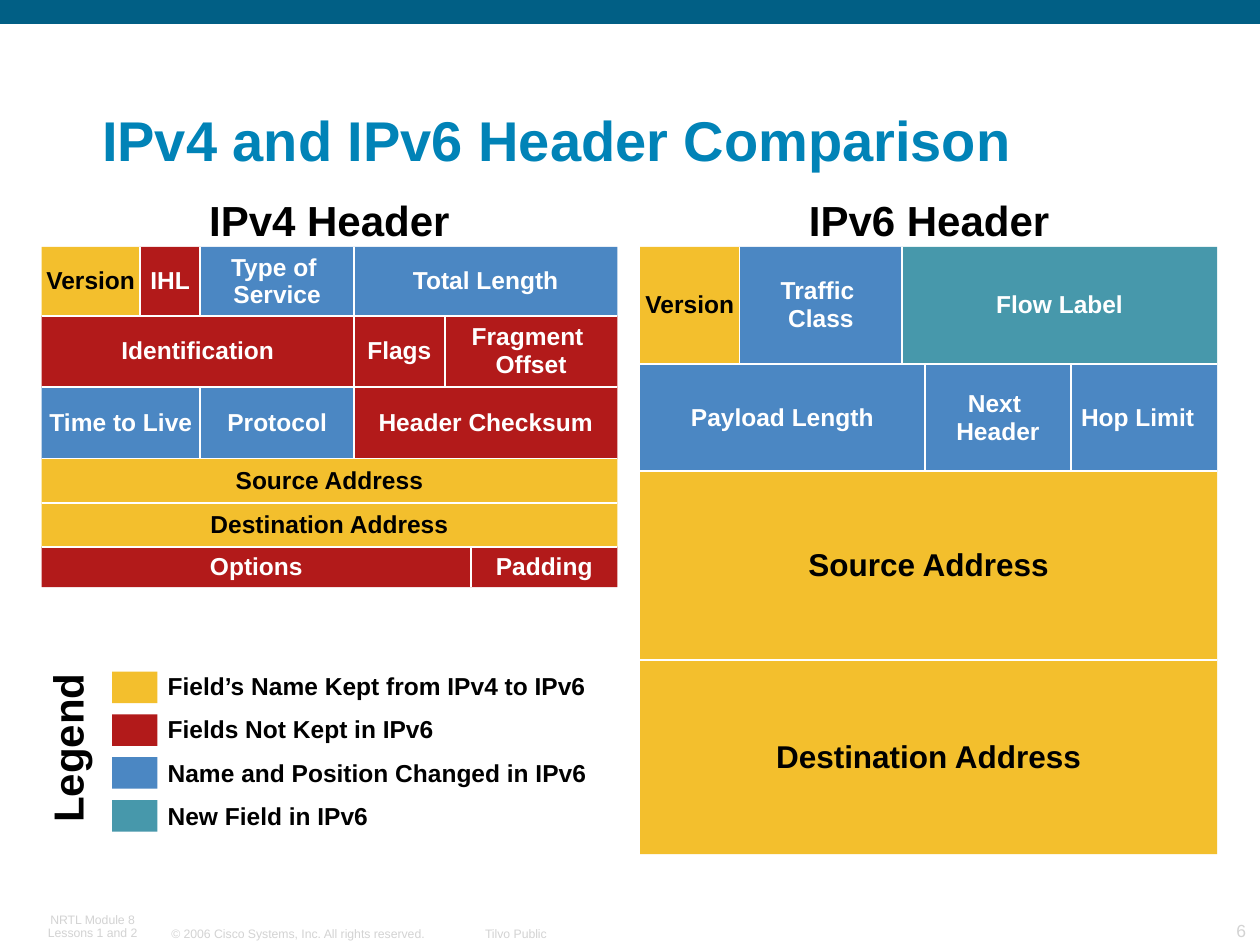
from copy import deepcopy
from dataclasses import dataclass
from typing import Any, NamedTuple

import lxml.etree
import pptx
import pptx.dml.color
import pptx.enum.shapes
import pptx.enum.text
import pptx.oxml.ns
import pptx.util

PX = pptx.util.Inches(1) // 100
ALIGN = pptx.enum.text.PP_ALIGN
ANCHOR = pptx.enum.text.MSO_ANCHOR
FIT = pptx.enum.text.MSO_AUTO_SIZE
qn = pptx.oxml.ns.qn


@dataclass(frozen=True)
class Theme:
    font: str = "Arial"
    bar: str = "015F85"
    title: str = "0183B7"
    black: str = "000000"
    white: str = "FFFFFF"
    footer: str = "D3D3D3"
    yellow: str = "F3BF2D"
    red: str = "B21A1A"
    blue: str = "4B87C3"
    teal: str = "4798AB"
    title_size: int = 32
    heading_size: int = 24
    address_size: int = 18
    field_size: int = 14
    number_size: int = 10
    footer_size: int = 7


THEME = Theme()


class Box(NamedTuple):
    left: int
    top: int
    width: int
    height: int


class Style(NamedTuple):
    size: int
    color: str = THEME.black
    bold: bool = True
    align: Any = ALIGN.LEFT
    anchor: Any = ANCHOR.TOP
    spacing: float = 1.0
    gap: float = 0
    wrap: bool = False
    fit: Any = FIT.SHAPE_TO_FIT_TEXT
    inset: int = 9


class Kind(NamedTuple):
    label: str
    fill: str
    ink: str = THEME.white


class Field(NamedTuple):
    text: str
    width: int
    kind: Kind
    align: Any = ALIGN.CENTER


class Row(NamedTuple):
    height: int
    fields: list[Field]
    size: int = THEME.field_size


class Header(NamedTuple):
    title: str
    title_left: int
    left: int
    rows: list[Row]


class Label(NamedTuple):
    lines: list[str]
    box: Box
    style: Style


KEPT = Kind("Field’s Name Kept from IPv4 to IPv6", THEME.yellow, THEME.black)
DROPPED = Kind("Fields Not Kept in IPv6", THEME.red)
MOVED = Kind("Name and Position Changed in IPv6", THEME.blue)
NEW = Kind("New Field in IPv6", THEME.teal)
KINDS = [KEPT, DROPPED, MOVED, NEW]

HEADER_TOP = 196
HEADERS = [
    Header("IPv4 Header", 158, 33, [
        Row(55, [Field("Version", 78, KEPT), Field("IHL", 48, DROPPED),
                 Field("Type of \vService", 122, MOVED), Field("Total Length", 209, MOVED)]),
        Row(56, [Field("Identification", 248, DROPPED), Field("Flags", 72, DROPPED),
                 Field("Fragment \vOffset", 137, DROPPED)]),
        Row(57, [Field("Time to Live", 126, MOVED), Field("Protocol", 122, MOVED),
                 Field("Header Checksum", 209, DROPPED)]),
        Row(35, [Field("Source Address", 457, KEPT)]),
        Row(35, [Field("Destination Address", 457, KEPT)]),
        Row(32, [Field("Options", 341, DROPPED), Field("Padding", 116, DROPPED)]),
    ]),
    Header("IPv6 Header", 634, 508, [
        Row(93, [Field("Version", 79, KEPT), Field("Traffic \vClass", 129, MOVED),
                 Field("Flow Label", 250, NEW)]),
        Row(85, [Field("Payload Length", 226, MOVED), Field("Next \vHeader", 116, MOVED),
                 Field("Hop Limit", 116, MOVED, ALIGN.LEFT)]),
        Row(150, [Field("Source Address", 458, KEPT)], THEME.address_size),
        Row(154, [Field("Destination Address", 458, KEPT)], THEME.address_size),
    ]),
]

HEADING = Style(THEME.heading_size, inset=8)
FOOTER = Style(THEME.footer_size, THEME.footer, bold=False, anchor=ANCHOR.BOTTOM)
FOOTERS = [
    Label(["© 2006 Cisco Systems, Inc. All rights reserved."], Box(127, 730, 220, 21), FOOTER),
    Label(["Tilvo Public"], Box(372, 730, 71, 21), FOOTER._replace(align=ALIGN.RIGHT)),
    Label(["NRTL Module 8", "Lessons 1 and 2"], Box(21, 720, 105, 30),
          FOOTER._replace(align=ALIGN.CENTER, spacing=0.9, wrap=True)),
    Label(["6"], Box(917, 725, 81, 26),
          FOOTER._replace(size=THEME.number_size, align=ALIGN.RIGHT)),
]


def rgb(color: str) -> Any:
    return pptx.dml.color.RGBColor.from_string(color)


def assign(target: Any, values: dict[str, Any]) -> None:
    for name, value in values.items():
        setattr(target, name, value)


def scaled(numbers: tuple[int, ...]) -> list[int]:
    return [number * PX for number in numbers]


def write(shape: Any, lines: list[str], style: Style) -> None:
    frame = shape.text_frame
    side, edge = style.inset * PX, 4 * PX
    assign(frame, {"word_wrap": style.wrap, "auto_size": style.fit,
                   "vertical_anchor": style.anchor, "margin_left": side,
                   "margin_right": side, "margin_top": edge, "margin_bottom": edge})
    for index, line in enumerate(lines):
        para = frame.add_paragraph() if index else frame.paragraphs[0]
        para.text = line
        assign(para, {"alignment": style.align, "line_spacing": style.spacing,
                      "space_before": pptx.util.Pt(style.gap if index else 0)})
        for span in para.runs:
            assign(span.font, {"name": THEME.font, "size": pptx.util.Pt(style.size),
                               "bold": style.bold})
            span.font.color.rgb = rgb(style.color)
        # Line breaks take the same format, so they do not stretch the line.
        for line_break in para._p.findall(qn("a:br")):
            line_break.insert(0, deepcopy(para.runs[0]._r.rPr))


def add_label(page: Any, label: Label) -> Any:
    shape = page.shapes.add_textbox(*scaled(label.box))
    write(shape, label.lines, label.style)
    return shape


def add_block(shapes: Any, box: Box, fill: str) -> Any:
    block = shapes.add_shape(pptx.enum.shapes.MSO_SHAPE.RECTANGLE, *scaled(box))
    block.shadow.inherit = False
    block.fill.solid()
    block.fill.fore_color.rgb = rgb(fill)
    block.line.fill.background()
    return block


def add_rule(shapes: Any, ends: tuple[int, int, int, int]) -> None:
    rule = shapes.add_connector(pptx.enum.shapes.MSO_CONNECTOR.STRAIGHT, *scaled(ends))
    rule.line.color.rgb = rgb(THEME.white)
    rule.line.width = pptx.util.Pt(1)
    lxml.etree.SubElement(rule._element.spPr, qn("a:effectLst"))


def add_header(page: Any, header: Header) -> None:
    """Draw the fields row by row, then white rules on the edges they share."""
    shapes = page.shapes.add_group_shape().shapes
    rules = []
    top = HEADER_TOP
    for row in header.rows:
        left, bottom = header.left, top + row.height
        for field in row.fields:
            block = add_block(shapes, Box(left, top, field.width, row.height), field.kind.fill)
            write(block, [field.text], Style(row.size, field.kind.ink, align=field.align,
                                             anchor=ANCHOR.MIDDLE, spacing=0.95,
                                             fit=FIT.NONE, inset=8))
            if left > header.left:
                rules.append((left, top, left, bottom))
            left += field.width
        if top > HEADER_TOP:
            rules.append((header.left, top, left, top))
        top = bottom
    for ends in rules:
        add_rule(shapes, ends)
    add_label(page, Label([header.title], Box(header.title_left, 150, 207, 48), HEADING))


def add_legend(page: Any) -> None:
    add_label(page, Label([kind.label for kind in KINDS], Box(124, 530, 375, 134),
                          Style(THEME.field_size, anchor=ANCHOR.MIDDLE, spacing=0.95,
                                gap=8.8, wrap=True)))
    caption = add_label(page, Label(["Legend"], Box(-13, 570, 137, 47),
                                    Style(THEME.heading_size, spacing=0.95, wrap=True)))
    caption.rotation = 270
    for index, kind in enumerate(KINDS):
        add_block(page.shapes, Box(89, 533 + 34 * index, 36, 25), kind.fill)


def main() -> None:
    deck = pptx.Presentation()
    assign(deck, {"slide_width": 1000 * PX, "slide_height": 750 * PX})
    page = deck.slides.add_slide(deck.slide_layouts[5])
    add_block(page.shapes, Box(0, 0, 1000, 19), THEME.bar)
    for label in FOOTERS:
        add_label(page, label)
    title = page.shapes.title
    assign(title, dict(zip(Box._fields, scaled(Box(72, 50, 891, 92)))))
    write(title, ["IPv4 and IPv6 Header Comparison"],
          Style(THEME.title_size, THEME.title, anchor=ANCHOR.BOTTOM, spacing=0.9,
                wrap=True, fit=FIT.NONE))
    for header in HEADERS:
        add_header(page, header)
    add_legend(page)
    deck.save("out.pptx")


if __name__ == "__main__":
    main()
